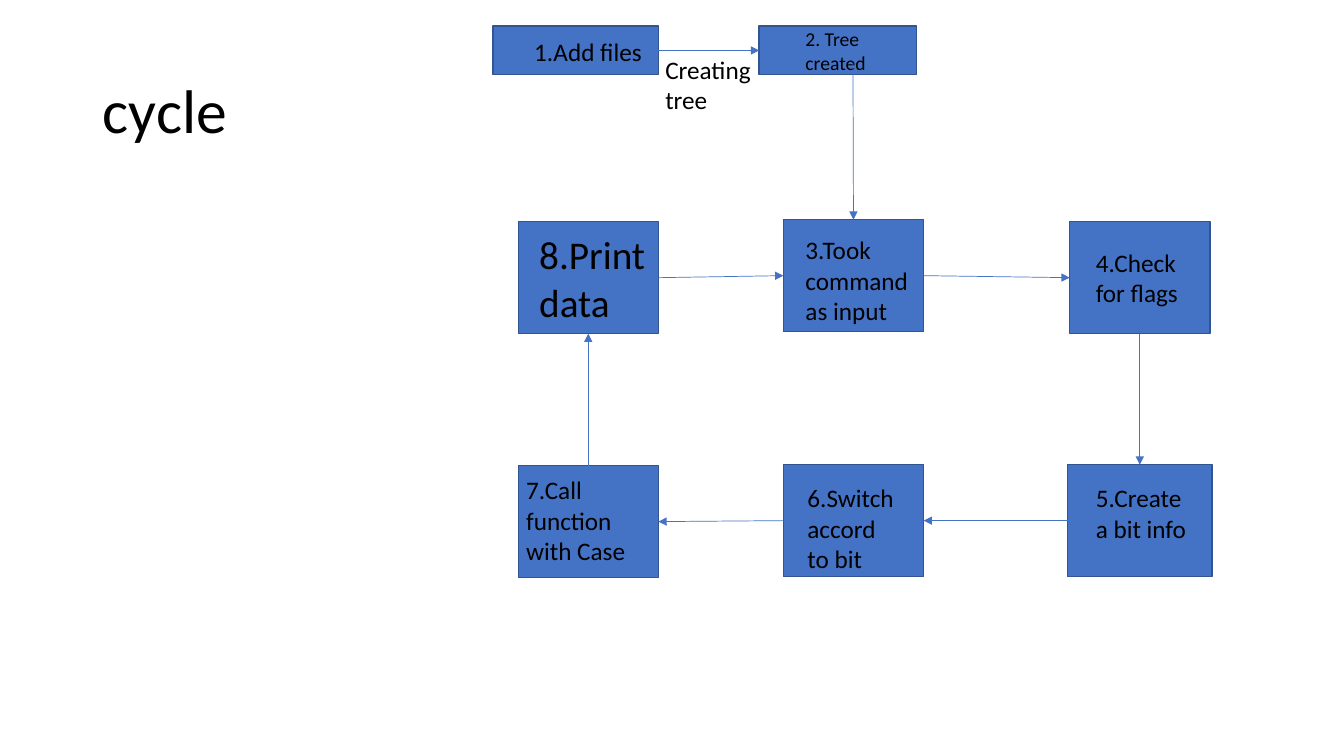
from dataclasses import dataclass
from pptx import Presentation
from pptx.dml.color import RGBColor
from pptx.enum.shapes import MSO_CONNECTOR as Link, MSO_SHAPE as Form
from pptx.enum.text import MSO_ANCHOR as Anchor, MSO_AUTO_SIZE as Fit, PP_ALIGN as Align
from pptx.oxml.ns import qn
from pptx.util import Inches, Pt
from lxml.etree import SubElement


@dataclass
class Theme:
    font: str = "Calibri"
    ink: str = "000000"
    fill: str = "4472C4"
    edge: str = "325491"
    title: int = 44
    large: int = 28
    body: int = 18
    small: int = 14
    rim: float = 1
    wire: float = 0.5


theme = Theme()
TOP, LEFT, BOTTOM, RIGHT = range(4)

boxes = {
    1: (4.89, 0.26, 1.64, 0.48),
    2: (7.53, 0.26, 1.56, 0.48),
    3: (7.77, 2.18, 1.39, 1.11),
    4: (10.61, 2.2, 1.39, 1.11),
    5: (10.59, 4.61, 1.43, 1.11),
    6: (7.77, 4.61, 1.39, 1.11),
    7: (5.14, 4.62, 1.39, 1.11),
    8: (5.14, 2.2, 1.39, 1.11),
}
labels = [
    ("1.Add files", (5.2, 0.31, 1.31, 0.4), theme.body),
    ("Creating tree", (6.5, 0.49, 1.18, 0.71), theme.body),
    ("2. Tree created", (7.89, 0.22, 1.16, 0.57), theme.small),
    ("3.Took command as input", (7.89, 2.28, 1.25, 1.01), theme.body),
    ("4.Check for flags", (10.77, 2.4, 1.14, 0.71), theme.body),
    ("5.Create a bit info", (10.77, 4.74, 1.14, 0.71), theme.body),
    ("6.Switch accord to bit", (7.91, 4.74, 1.13, 1.01), theme.body),
    ("7.Call function with Case", (5.12, 4.66, 1.38, 1.01), theme.body),
    ("8.Print data", (5.25, 2.24, 1.26, 1.04), theme.large),
]
arrows = [
    (1, RIGHT, 2, LEFT),
    (3, RIGHT, 4, LEFT),
    (4, BOTTOM, 5, TOP),
    (5, LEFT, 6, RIGHT),
    (6, LEFT, 7, RIGHT),
    (7, TOP, 8, BOTTOM),
    (8, RIGHT, 3, LEFT),
]
drop = (8.46, 0.63)


def color(code):
    return RGBColor.from_string(code)


def write(shape, text, size=theme.body, anchor=Anchor.TOP, fit=Fit.SHAPE_TO_FIT_TEXT, gap=1.0):
    frame = shape.text_frame
    frame.word_wrap = True
    frame.auto_size = fit
    frame.vertical_anchor = anchor
    para = frame.paragraphs[0]
    para.alignment = Align.LEFT
    para.line_spacing = gap
    run = para.add_run()
    run.text = text
    run.font.name = theme.font
    run.font.size = Pt(size)
    run.font.color.rgb = color(theme.ink)


def box(area):
    shape = slide.shapes.add_shape(Form.RECTANGLE, *map(Inches, area))
    shape.shadow.inherit = False
    shape.fill.solid()
    shape.fill.fore_color.rgb = color(theme.fill)
    shape.line.color.rgb = color(theme.edge)
    shape.line.width = Pt(theme.rim)
    return shape


def arrow(start=(0, 0)):
    x, y = map(Inches, start)
    link = slide.shapes.add_connector(Link.STRAIGHT, x, y, x, y)
    link.line.color.rgb = color(theme.fill)
    link.line.width = Pt(theme.wire)
    SubElement(link.line._get_or_add_ln(), qn("a:tailEnd"), type="triangle")
    SubElement(link._element.spPr, qn("a:effectLst"))
    return link


deck = Presentation()
deck.slide_width, deck.slide_height = Inches(13.33), Inches(7.5)
slide = deck.slides.add_slide(deck.slide_layouts[5])

title = slide.shapes.title
title.left, title.top, title.width, title.height = map(Inches, (0.92, 0.4, 11.5, 1.45))
write(title, "cycle", size=theme.title, anchor=Anchor.MIDDLE, fit=Fit.NONE, gap=0.9)

steps = {num: box(area) for num, area in boxes.items()}

for text, area, size in labels:
    write(slide.shapes.add_textbox(*map(Inches, area)), text, size=size)

for source, out, target, into in arrows:
    link = arrow()
    link.begin_connect(steps[source], out)
    link.end_connect(steps[target], into)
arrow(drop).end_connect(steps[3], TOP)

deck.save("out.pptx")
